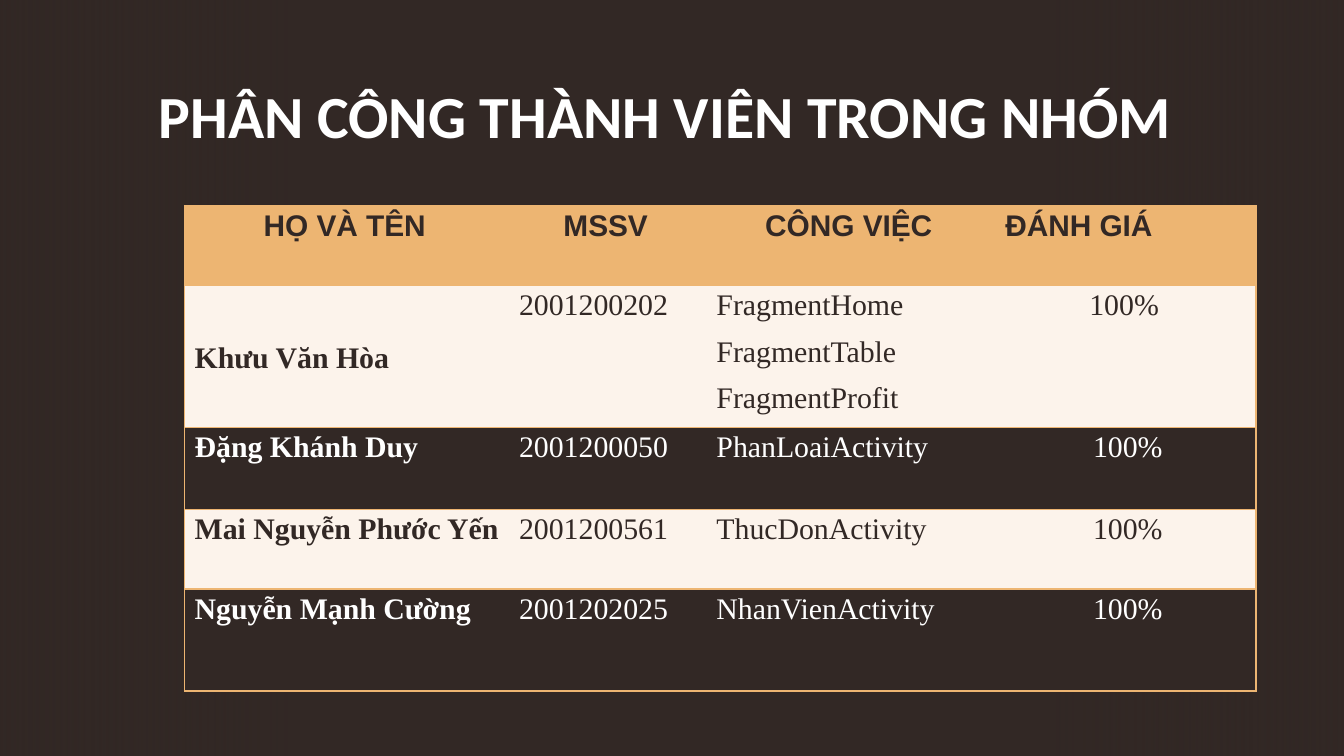
import pptx
import pptx.dml.color
import pptx.enum.shapes
import pptx.enum.text
import pptx.oxml.ns
import pptx.util
from lxml import etree

Cm = pptx.util.Cm
Pt = pptx.util.Pt
ALIGN = pptx.enum.text.PP_ALIGN
ANCHOR = pptx.enum.text.MSO_ANCHOR
qn = pptx.oxml.ns.qn

DARK, GOLD, CREAM, WHITE = "322825", "EDB572", "FCF3EB", "FFFFFF"
COLS = [6.13, 3.73, 5.46, 4.93]
ROWS = [1.5, 2.69, 1.55, 1.5, 1.93]
HEAD = ["HỌ VÀ TÊN ", "MSSV ", "CÔNG VIỆC ", "ĐÁNH GIÁ "]
TEAM = [
    ["Khưu Văn Hòa", "2001200202", "FragmentHome\nFragmentTable\nFragmentProfit", "100% "],
    ["Đặng Khánh Duy", "2001200050", "PhanLoaiActivity", "100%"],
    ["Mai Nguyễn Phước Yến", "2001200561", "ThucDonActivity", "100%"],
    ["Nguyễn Mạnh Cường", "2001202025", "NhanVienActivity", "100%"],
]
HEAD_ALIGN = [ALIGN.CENTER, ALIGN.CENTER, ALIGN.CENTER, ALIGN.JUSTIFY]
BODY_ALIGN = [ALIGN.LEFT, ALIGN.LEFT, ALIGN.LEFT, ALIGN.CENTER]


def rgb(code):
    return pptx.dml.color.RGBColor.from_string(code)


def apply(item, **values):
    for name, value in values.items():
        setattr(item, name, value)


def paint(item, code):
    item.fill.solid()
    item.fill.fore_color.rgb = rgb(code)


def style(para, color, **font):
    apply(para.font, **font)
    para.font.color.rgb = rgb(color)


def fade(shape, code):
    """Fill with a colour that turns clear over its last third."""
    shape.fill.gradient()
    grad = shape._element.spPr.find(qn("a:gradFill"))
    for child in list(grad):
        grad.remove(child)
    stops = etree.SubElement(grad, qn("a:gsLst"))
    for place in (0, 66, 100):
        stop = etree.SubElement(stops, qn("a:gs"), pos=str(place * 1000))
        color = etree.SubElement(stop, qn("a:srgbClr"), val=code)
    etree.SubElement(color, qn("a:alpha"), val="0")
    etree.SubElement(grad, qn("a:lin"), ang=str(90 * 60000), scaled="0")


def add_shade(slide, left, top, width, height, turn, flip):
    shape = slide.shapes.add_shape(
        pptx.enum.shapes.MSO_SHAPE.RECTANGLE, left, top, width, height)
    shape.rotation = turn
    shape.shadow.inherit = False
    shape.line.fill.background()
    if flip:
        shape._element.spPr.find(qn("a:xfrm")).set("flipH", "1")
    fade(shape, DARK)


def edge(cell, place, side, color=None):
    """Draw one cell border, or hide it when no colour is given."""
    line = etree.Element(qn("a:ln" + side), w=str(Pt(1)))
    if color:
        fill = etree.SubElement(line, qn("a:solidFill"))
        etree.SubElement(fill, qn("a:srgbClr"), val=color)
    else:
        etree.SubElement(line, qn("a:noFill"))
    cell._tc.get_or_add_tcPr().insert(place, line)


def frame_cell(cell, col):
    sides = {"L": GOLD if col == 0 else None,
             "R": GOLD if col == len(COLS) - 1 else None,
             "T": GOLD, "B": GOLD}
    for place, (side, color) in enumerate(sides.items()):
        edge(cell, place, side, color)


def fill_cell(cell, text, back, align, color, **font):
    apply(cell, text=text, margin_left=Cm(0.19), margin_top=Cm(0.03),
          margin_right=Cm(0.11), margin_bottom=0)
    paint(cell, back)
    paras = cell.text_frame.paragraphs
    for para in paras:
        props = para._p.get_or_add_pPr()
        props.set("marL", str(Cm(0.03)))
        props.set("indent", str(-Cm(0.03)))
        apply(para, alignment=align, line_spacing=1.07,
              space_after=Pt(5.9 if len(paras) > 1 else 15.8))
        style(para, color, size=Pt(16), **font)


def add_title(slide, left, top, width, height):
    title = slide.shapes.title
    apply(title, left=left, top=top, width=width, height=height)
    text = title.text_frame
    pad = Cm(0.25)
    apply(text, text="PHÂN CÔNG THÀNH VIÊN TRONG NHÓM ", word_wrap=True,
          auto_size=pptx.enum.text.MSO_AUTO_SIZE.NONE,
          vertical_anchor=ANCHOR.TOP, margin_left=pad, margin_top=pad,
          margin_right=pad, margin_bottom=pad)
    para = text.paragraphs[0]
    para.alignment = ALIGN.CENTER
    style(para, WHITE, size=Pt(32), name="Calibri", bold=True)
    # Bring the title in front of the shades
    slide.shapes._spTree.append(title._element)


def add_team(slide, left, top, width, height):
    frame = slide.shapes.add_table(len(ROWS), len(COLS), left, top, width, height)
    table = frame.table
    for col, size in zip(table.columns, COLS):
        col.width = int(width * size / sum(COLS))
    for row, size in zip(table.rows, ROWS):
        row.height = int(height * size / sum(ROWS))
    for r, texts in enumerate([HEAD] + TEAM):
        for c, text in enumerate(texts):
            cell = table.cell(r, c)
            if r == 0:
                fill_cell(cell, text, GOLD, HEAD_ALIGN[c], DARK,
                          name="Arial", bold=True)
            else:
                back, ink = (CREAM, DARK) if r % 2 else (DARK, WHITE)
                fill_cell(cell, text, back, BODY_ALIGN[c], ink,
                          name="Times New Roman", bold=c == 0)
            frame_cell(cell, c)
    table.cell(1, 0).vertical_anchor = ANCHOR.MIDDLE


def main():
    deck = pptx.Presentation()
    apply(deck, slide_width=Cm(25.4), slide_height=Cm(14.29))
    slide = deck.slides.add_slide(deck.slide_layouts[5])
    paint(slide.background, DARK)
    for left, turn, flip in ((1.35, 90, False), (9.7, 270, True)):
        add_shade(slide, Cm(left), Cm(-1.37), Cm(14.33), Cm(17.04), turn, flip)
    add_title(slide, Cm(2), Cm(1.24), Cm(21.4), Cm(1.6))
    add_team(slide, Cm(3.49), Cm(3.89), Cm(20.25), Cm(9.17))
    deck.save("out.pptx")


if __name__ == "__main__":
    main()
